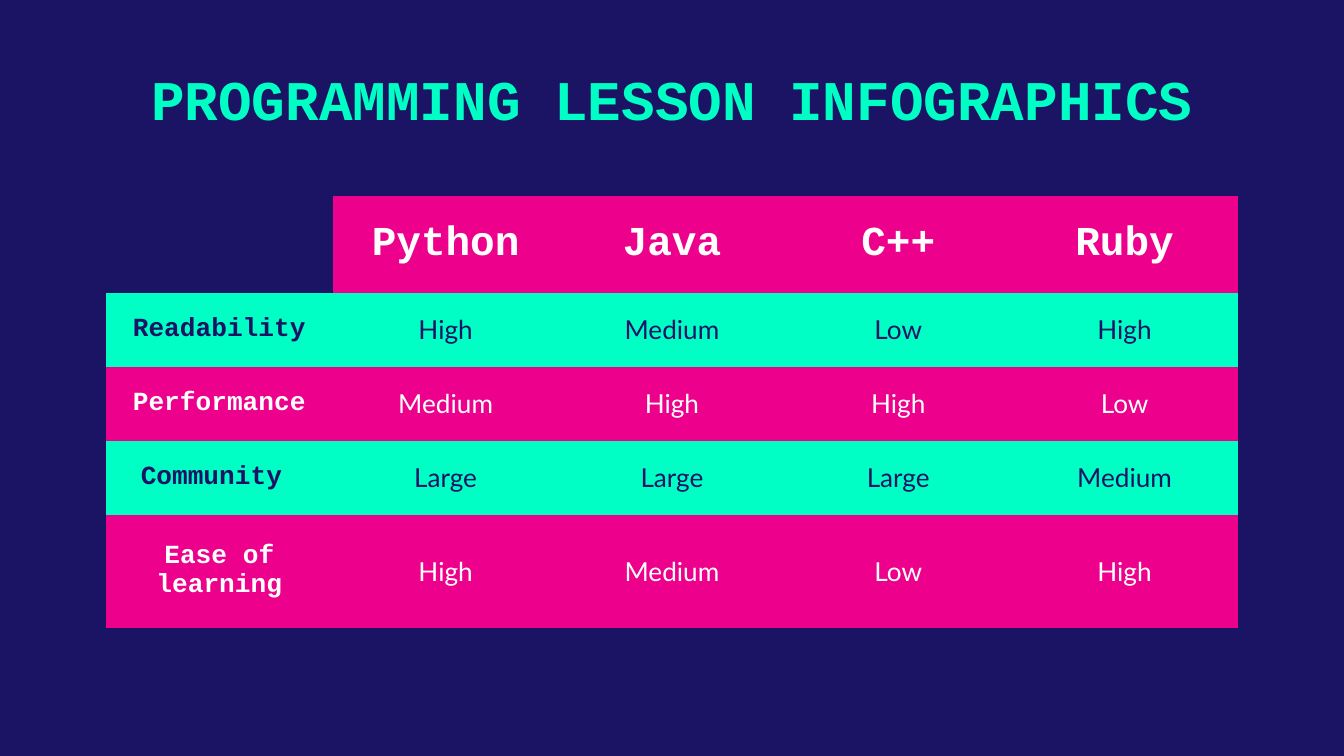
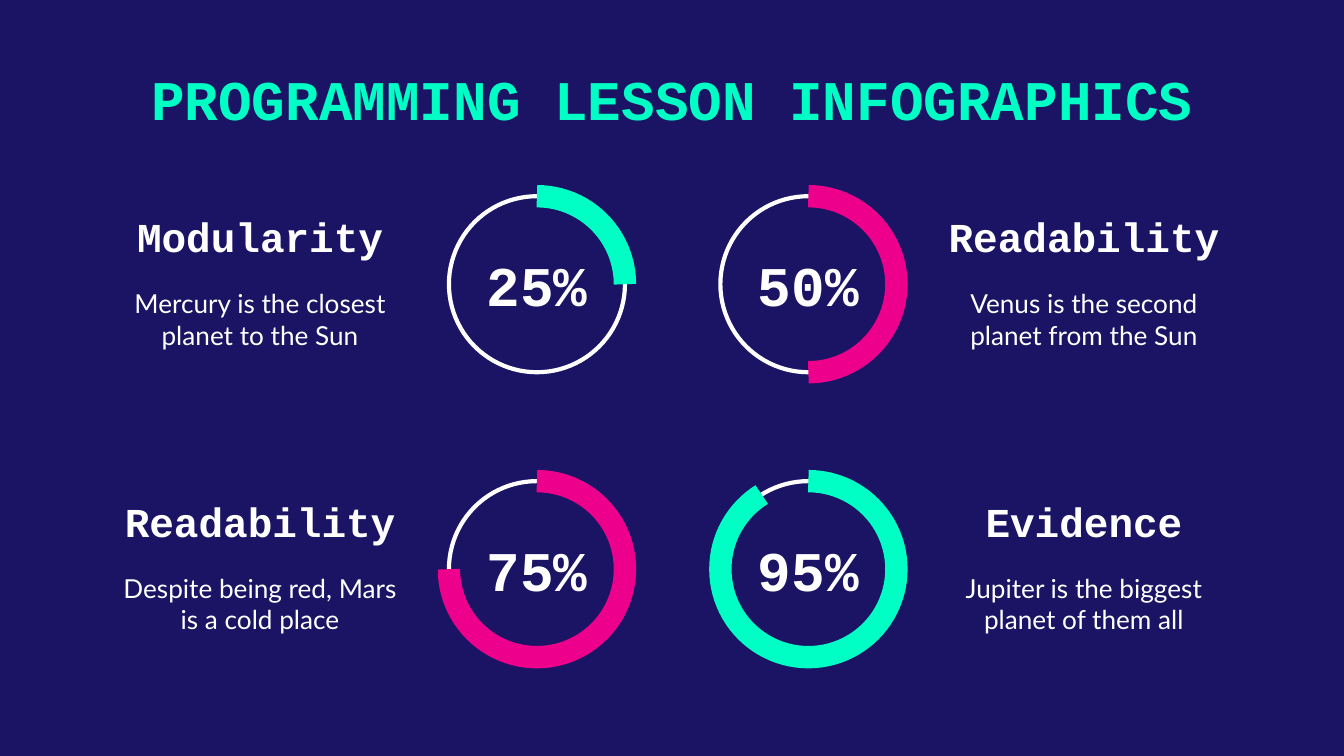
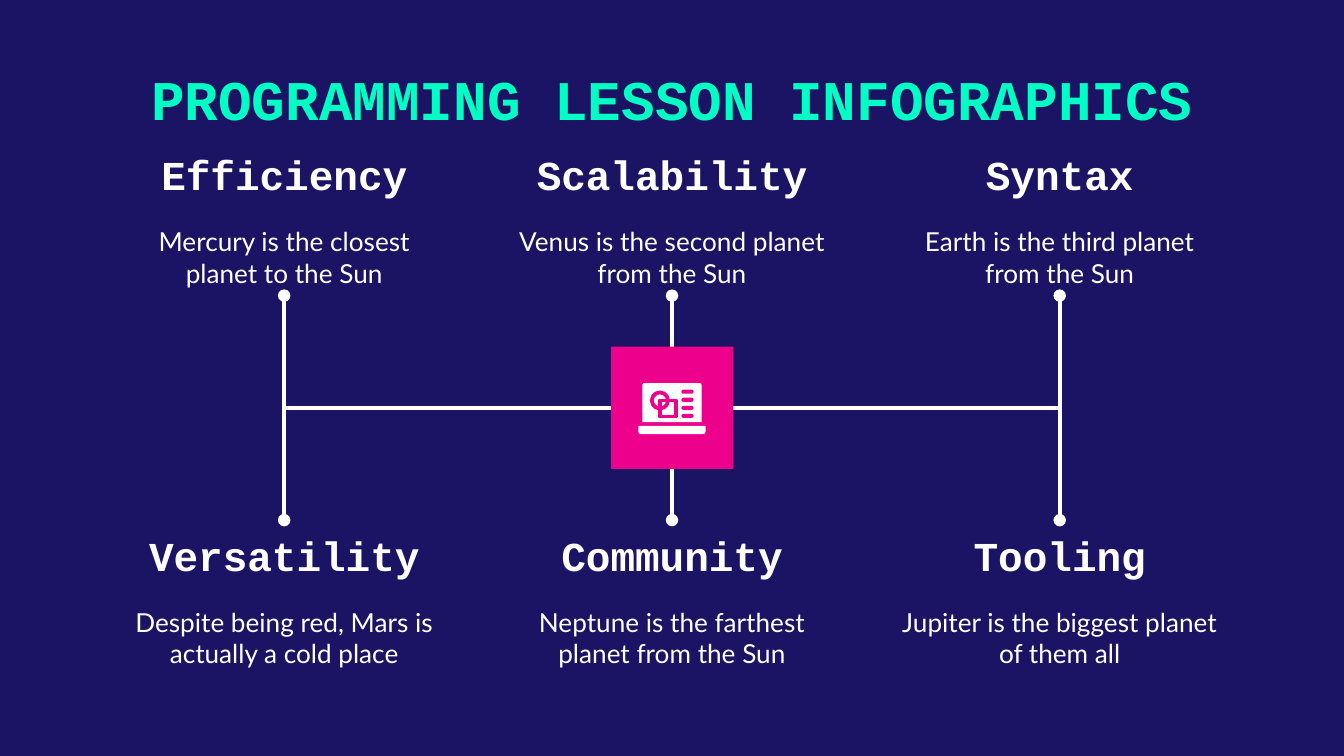
"""Build three programming lesson infographics: a table, four rings and a hub."""
from lxml.etree import SubElement
from pptx import Presentation
from pptx.dml.color import RGBColor
from pptx.enum.shapes import MSO_CONNECTOR, MSO_SHAPE
from pptx.enum.text import MSO_ANCHOR, PP_ALIGN
from pptx.oxml.ns import qn
from pptx.util import Inches, Pt

NAVY, MINT, PINK, WHITE = "1B1464", "00FFC5", "EC008C", "FFFFFF"
CODE, SANS = "Courier New", "Lato"
TITLE = (30, CODE, MINT)
BIG = (30, CODE, WHITE)
HEAD = (22, CODE, WHITE)
BODY = (14, SANS, WHITE)
WIDE, HIGH = 10, 5.625
EDGE = 0.79
SPAN = WIDE - 2 * EDGE
MID = WIDE / 2
TOP, BASE = MSO_ANCHOR.TOP, MSO_ANCHOR.BOTTOM
color = RGBColor.from_string


def label(slide, text, look, x, y, w, h, anchor=TOP, pad=0.1):
    box = slide.shapes.add_textbox(Inches(x), Inches(y), Inches(w), Inches(h))
    frame = box.text_frame
    frame.word_wrap = True
    frame.vertical_anchor = anchor
    frame.margin_left = frame.margin_right = Inches(0.1)
    frame.margin_top = frame.margin_bottom = Inches(pad)
    para = frame.paragraphs[0]
    para.text = text
    para.alignment = PP_ALIGN.CENTER
    size, face, ink = look
    para.font.size, para.font.name, para.font.bold = Pt(size), face, face == CODE
    para.font.color.rgb = color(ink)


def draw(slide, kind, x, y, w, h, fill=None, line=None, thick=0):
    shape = slide.shapes.add_shape(kind, Inches(x), Inches(y), Inches(w), Inches(h))
    shape.shadow.inherit = False
    if fill:
        shape.fill.solid()
        shape.fill.fore_color.rgb = color(fill)
    else:
        shape.fill.background()
    if line:
        shape.line.color.rgb = color(line)
        shape.line.width = Pt(thick)
    else:
        shape.line.fill.background()
    return shape


deck = Presentation()
deck.slide_width, deck.slide_height = Inches(WIDE), Inches(HIGH)
slides = []
for _ in range(3):
    slide = deck.slides.add_slide(deck.slide_layouts[6])
    slide.background.fill.solid()
    slide.background.fill.fore_color.rgb = color(NAVY)
    label(slide, "PROGRAMMING LESSON INFOGRAPHICS", TITLE, EDGE, 0.38, SPAN, 0.73)
    slides.append(slide)
chart, rings, hub = slides

rows = [
    ("", "Python", "Java", "C++", "Ruby"),
    ("Readability", "High", "Medium", "Low", "High"),
    ("Performance", "Medium", "High", "High", "Low"),
    ("Community ", "Large", "Large", "Large", "Medium"),
    ("Ease of learning", "High", "Medium", "Low", "High"),
]
tall = [0.72, 0.55, 0.55, 0.55, 0.84]
holder = chart.shapes.add_table(len(rows), len(rows[0]), Inches(EDGE), Inches(1.46),
                                Inches(SPAN), Inches(sum(tall)))
table = holder.table
table.first_row = table.horz_banding = False
style = table._tbl.tblPr.find(qn("a:tableStyleId"))
style.text = "{2D5ABB26-0587-4C30-8999-92F81FD0307C}"
for r, row in enumerate(rows):
    table.rows[r].height = Inches(tall[r])
    for c, text in enumerate(row):
        cell = table.cell(r, c)
        cell.vertical_anchor = MSO_ANCHOR.MIDDLE
        cell.margin_left = cell.margin_right = Inches(0.1)
        cell.margin_top = cell.margin_bottom = Inches(0.1)
        if not text:
            cell.fill.background()
            continue
        cell.fill.solid()
        cell.fill.fore_color.rgb = color(MINT if r % 2 else PINK)
        para = cell.text_frame.paragraphs[0]
        para.text = text
        para.alignment = PP_ALIGN.CENTER
        bold = r == 0 or c == 0
        para.font.size, para.font.bold = Pt(14 if r else 22), bold
        para.font.name = CODE if bold else SANS
        para.font.color.rgb = color(NAVY if r % 2 else WHITE)

facts = [
    ("Modularity", "Mercury is the closest planet to the Sun", "25%", 0, MINT),
    ("Readability", "Venus is the second planet from the Sun", "50%", 90, PINK),
    ("Readability", "Despite being red, Mars is a cold place", "75%", 180, PINK),
    ("Evidence", "Jupiter is the biggest planet of them all", "95%", 238, MINT),
]
size, wide = 1.31, 2.29
for i, (head, text, share, end, tint) in enumerate(facts):
    row, col = divmod(i, 2)
    y = 1.46 + 2.12 * row
    x = 3.34 + 2.02 * col
    left = WIDE - EDGE - wide if col else EDGE
    draw(rings, MSO_SHAPE.OVAL, x, y, size, size, line=WHITE, thick=2.25)
    arc = draw(rings, MSO_SHAPE.ARC, x, y, size, size, line=tint, thick=12)
    arc.adjustments[0], arc.adjustments[1] = 270 * 0.6, end * 0.6
    label(rings, head, HEAD, left, y, wide, 0.58, BASE)
    label(rings, text, BODY, left, y + 0.58, wide, 0.73)
    label(rings, share, BIG, x, y + 0.43, size, 0.45, MSO_ANCHOR.MIDDLE, 0)

topics = [
    ("Efficiency", "Mercury is the closest planet to the Sun"),
    ("Scalability", "Venus is the second planet from the Sun"),
    ("Syntax", "Earth is the third planet from the Sun"),
    ("Versatility", "Despite being red, Mars is actually a cold place"),
    ("Community", "Neptune is the farthest planet from the Sun"),
    ("Tooling", "Jupiter is the biggest planet of them all"),
]
wide, step, core, half = 2.65, 2.885, 3.035, 0.455
for i, (head, text) in enumerate(topics):
    row, col = divmod(i, 3)
    x = EDGE + step * col
    y = 1.04 + 2.83 * row
    label(hub, head, HEAD, x, y, wide, 0.54, BASE)
    label(hub, text, BODY, x, y + 0.54, wide, 0.62)
    side, turn = col - 1, 2 * row - 1
    kind = MSO_CONNECTOR.ELBOW if side else MSO_CONNECTOR.STRAIGHT
    start = core if side else core + turn * half
    wire = hub.shapes.add_connector(
        kind, Inches(MID + side * half), Inches(start),
        Inches(MID + side * step), Inches(core + turn * 0.835))
    wire.line.color.rgb = color(WHITE)
    wire.line.width = Pt(2.25)
    SubElement(wire.line._get_or_add_ln(), qn("a:tailEnd"), type="oval")
    props = wire._element.spPr
    SubElement(props, qn("a:effectLst"))
    if side:
        props.find(qn("a:prstGeom")).set("prst", "bentConnector2")

draw(hub, MSO_SHAPE.RECTANGLE, MID - half, core - half, 2 * half, 2 * half, PINK)
draw(hub, MSO_SHAPE.ROUND_2_SAME_RECTANGLE, 4.78, 2.85, 0.44, 0.29, WHITE).adjustments[0] = 0.05
base = draw(hub, MSO_SHAPE.ROUND_2_SAME_RECTANGLE, 4.75, 3.17, 0.5, 0.06, WHITE)
base.adjustments[0], base.adjustments[1] = 0, 0.3
draw(hub, MSO_SHAPE.OVAL, 4.85, 2.92, 0.12, 0.12, line=PINK, thick=2)
draw(hub, MSO_SHAPE.RECTANGLE, 4.91, 2.98, 0.12, 0.12, line=PINK, thick=2)
for i in range(4):
    bar = draw(hub, MSO_SHAPE.ROUNDED_RECTANGLE, 5.07, 2.9 + 0.06 * i, 0.09, 0.03, PINK)
    bar.adjustments[0] = 0.5

deck.save("out.pptx")
